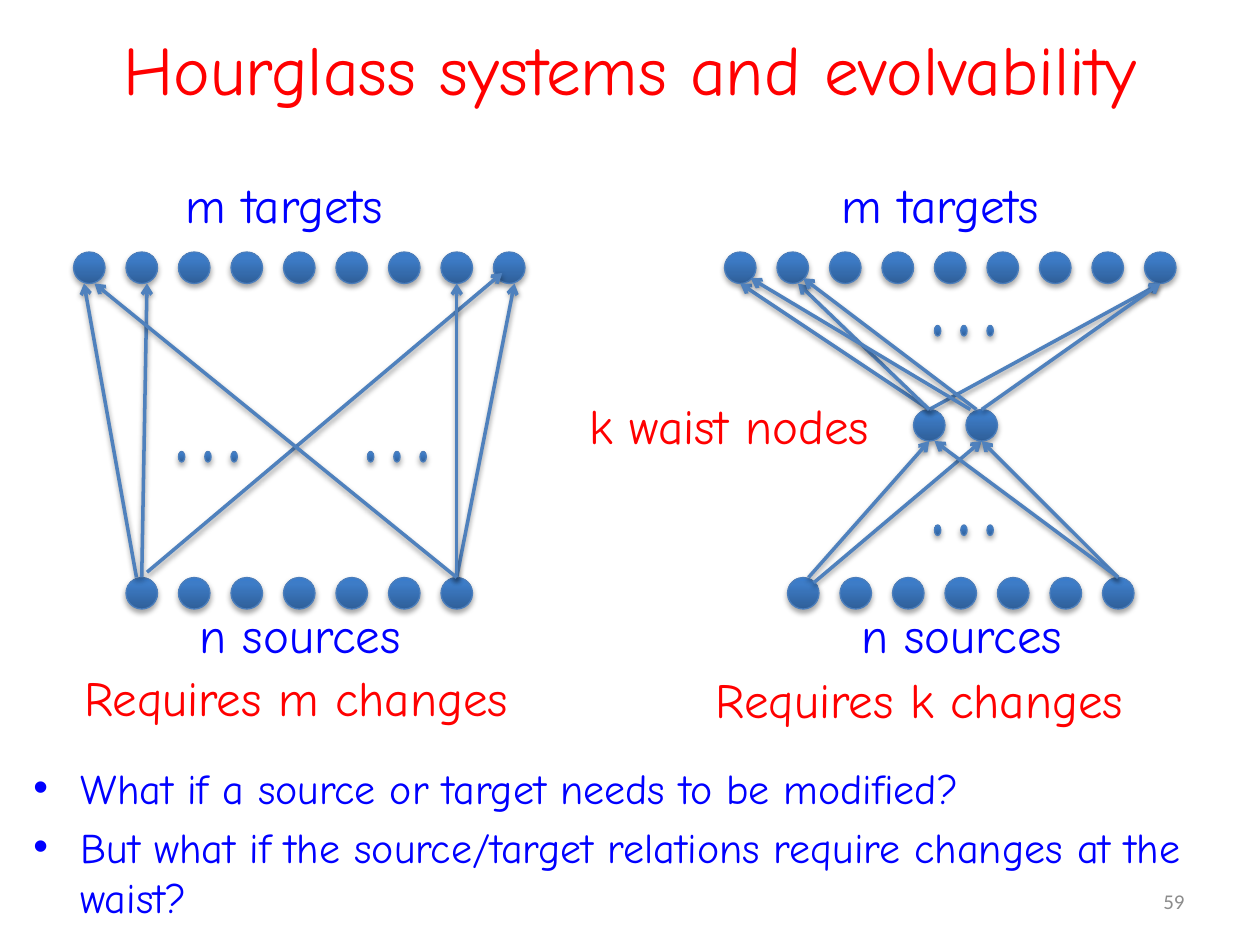
from lxml import etree
from pptx import Presentation
from pptx.dml.color import RGBColor
from pptx.enum import shapes, text
from pptx.oxml import ns
from pptx.util import Pt

RED, BLUE, GREY = "FF0000", "0000FF", "8C8C8C"
RIM, WIRE = "4B7EBC", "4F81BD"
STOPS = [(0, "2F5F99"), (80, "3D7CC7"), (100, "3A7CCB")]
HAND = "Comic Neue"

TITLE = "Hourglass systems and evolvability"
POINTS = [
    "What if a source or target needs to be modified?",
    "But what if the source/target relations require changes at the waist?",
]

# Labels: words, colour, left, top, width
LABELS = [
    ("m targets", BLUE, 99, 96, 144),
    ("n sources", BLUE, 107, 342, 138),
    ("Requires m changes", RED, 41, 378, 271),
    ("m targets", BLUE, 474, 96, 144),
    ("n sources", BLUE, 485, 342, 138),
    ("k waist nodes", RED, 330, 222.5, 191),
    ("Requires k changes", RED, 402, 379, 264),
]

# Rows of equal circles: left, top, count
NODE = (18, 18, 30)  # width, height, pitch
NODES = [(42, 144, 9), (414, 144, 9), (72, 330, 7), (450, 330, 7), (522, 234, 2)]
DOT = (3.6, 6, 15)
DOTS = [(102, 258, 3), (210, 258, 3), (534, 186, 3), (534, 300, 3)]

# Arrows: each start with the ends it points to
LINKS = [
    ((78, 330), [(48, 162)]),
    ((81, 330), [(84, 162)]),
    ((84, 327), [(287, 156)]),
    ((261, 330), [(294, 162), (261, 162), (54, 162)]),
    ((462, 330), [(531, 252)]),
    ((465, 333), [(561, 252)]),
    ((531, 234), [(423, 162), (663, 162), (456, 162)]),
    ((558, 234), [(459, 159)]),
    ((561, 234), [(663, 162)]),
    ((554.5, 234), [(429, 159)]),
    ((639, 330), [(561, 252), (534, 252)]),
]

deck = Presentation()
deck.slide_width, deck.slide_height = Pt(720), Pt(540)
slide = deck.slides.add_slide(deck.slide_layouts[6])


def rgb(code):
    return RGBColor.from_string(code)


def sub(node, tag, **attrs):
    """Append a drawing element with the given attributes."""
    kid = etree.SubElement(node, ns.qn("a:" + tag))
    for key, val in attrs.items():
        kid.set(key, str(val))
    return kid


def tint(node, code):
    return sub(node, "srgbClr", val=code)


def shade(props, alpha, dist):
    """Cast a soft black shadow straight down."""
    glow = sub(sub(props, "effectLst"), "outerShdw", blurRad=Pt(3.1),
               dist=Pt(dist), dir=90 * 60000, rotWithShape=0)
    sub(tint(glow, "000000"), "alpha", val=alpha * 1000)


def ball(x, y, w, h):
    item = slide.shapes.add_shape(
        shapes.MSO_SHAPE.OVAL, Pt(x), Pt(y), Pt(w), Pt(h))
    item.fill.gradient()
    item.fill.gradient_angle = 90
    props = item.element.spPr
    stops = props.find(".//" + ns.qn("a:gsLst"))
    for old in list(stops):
        stops.remove(old)
    for pos, code in STOPS:
        tint(sub(stops, "gs", pos=pos * 1000), code)
    item.line.color.rgb = rgb(RIM)
    item.line.width = Pt(0.75)
    shade(props, 35, 1.8)


def rows(specs, size):
    w, h, pitch = size
    for x, y, count in specs:
        for i in range(count):
            ball(x + i * pitch, y, w, h)


def arrow(start, end):
    item = slide.shapes.add_connector(
        shapes.MSO_CONNECTOR.STRAIGHT, *map(Pt, start + end))
    item.line.color.rgb = rgb(WIRE)
    item.line.width = Pt(2)
    props = item.element.spPr
    sub(props.find(ns.qn("a:ln")), "tailEnd", type="arrow")
    shade(props, 38, 1.6)


def write(lines, x, y, w, h, size, code, face=HAND, wrap=True,
          anchor=text.MSO_ANCHOR.TOP, align=text.PP_ALIGN.LEFT, bullet=False):
    frame = slide.shapes.add_textbox(Pt(x), Pt(y), Pt(w), Pt(h)).text_frame
    frame.word_wrap = wrap
    frame.vertical_anchor = anchor
    for i, line in enumerate(lines):
        para = frame.add_paragraph() if i else frame.paragraphs[0]
        para.alignment = align
        if bullet:
            props = para._p.get_or_add_pPr()
            props.set("marL", str(Pt(27)))
            props.set("indent", str(Pt(-27)))
            sub(props, "buFont", typeface="Arial")
            sub(props, "buChar", char="•")
        if i:
            para.space_before = Pt(0.2 * size)
        run = para.add_run()
        run.text = line
        run.font.name = face
        run.font.size = Pt(size)
        run.font.color.rgb = rgb(code)


MID = text.MSO_ANCHOR.MIDDLE
write([TITLE], 18, -6, 684, 90, 39.6, RED, anchor=MID,
      align=text.PP_ALIGN.CENTER)
write(["59"], 516, 500.5, 168, 28.8, 12, GREY, face="Calibri", anchor=MID,
      align=text.PP_ALIGN.RIGHT)
rows(NODES, NODE)
for start, ends in LINKS:
    for end in ends:
        arrow(start, end)
rows(DOTS, DOT)
for words, code, x, y, w in LABELS:
    write([words], x, y, w, 41, 28, code, wrap=False)
write(POINTS, 12, 432, 684, 120, 24, BLUE, bullet=True)

deck.save("out.pptx")
